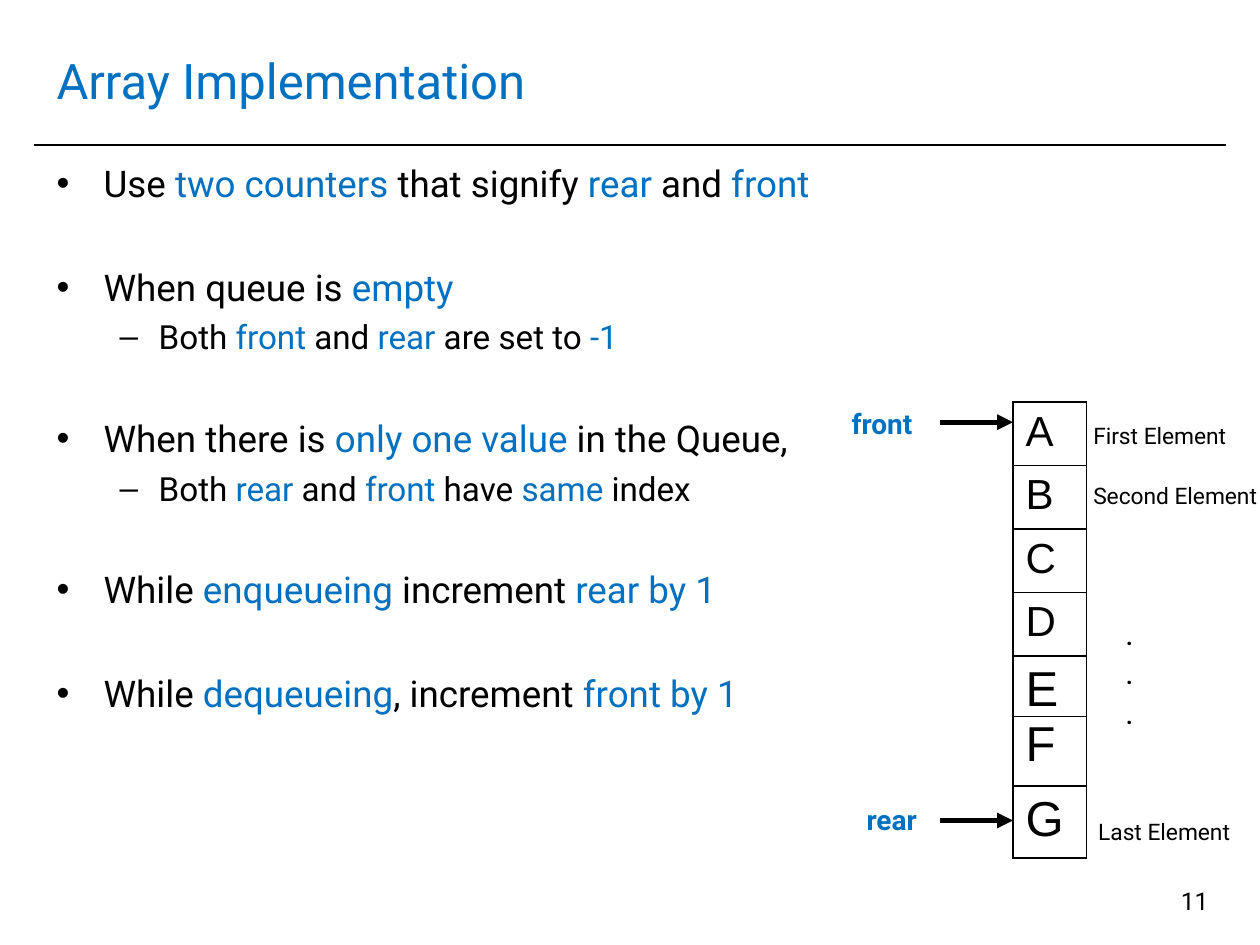
from typing import NamedTuple

from lxml import etree
from pptx import Presentation
from pptx.dml.color import RGBColor
from pptx.enum.shapes import MSO_CONNECTOR
from pptx.enum.text import MSO_ANCHOR, PP_ALIGN
from pptx.oxml import parse_xml
from pptx.oxml.ns import nsdecls, qn
from pptx.util import Cm, Pt

BLACK = RGBColor(0x00, 0x00, 0x00)
BLUE = RGBColor(0x00, 0x70, 0xC0)
STRAIGHT = MSO_CONNECTOR.STRAIGHT
MIDDLE, TOP = MSO_ANCHOR.MIDDLE, MSO_ANCHOR.TOP
LEFT, RIGHT = PP_ALIGN.LEFT, PP_ALIGN.RIGHT
SANS, CELL = "Roboto", "Arial"


class Label(NamedTuple):
    text: str
    x: float
    y: float
    w: float
    h: float
    size: float = 13
    color: RGBColor = BLACK
    bold: bool = False
    align: PP_ALIGN = LEFT
    anchor: MSO_ANCHOR = TOP
    gap: float = 0


class Line(NamedTuple):
    x1: float
    x2: float
    y: float
    width: float
    arrow: bool = False


class Level(NamedTuple):
    size: float
    left: float
    hang: float
    mark: str
    gap: float


class Point(NamedTuple):
    level: Level
    text: str  # parts between bars alternate black and blue


class Row(NamedTuple):
    text: str
    height: float
    size: float


MAIN = Level(21, 0.95, 0.95, "•", 34)
SUB = Level(19, 2.06, 0.79, "–", 4.5)

POINTS = [
    Point(MAIN, "Use |two counters |that signify |rear| and |front"),
    Point(MAIN, "When queue is |empty"),
    Point(SUB, "Both |front| and |rear| are set to |-1"),
    Point(MAIN, "When there is |only one value| in the Queue,"),
    Point(SUB, "Both |rear| and |front| have |same| index"),
    Point(MAIN, "While |enqueueing |increment |rear by 1"),
    Point(MAIN, "While |dequeueing|, increment |front by 1"),
]

# The fifth cell wraps to hold two letters
ROWS = [Row(c, 1.28, 24) for c in "ABCD"] + [Row("EF", 2.62, 28), Row("G", 1.45, 28)]
COL_X, COL_Y, COL_W = 20.42, 8.1, 1.48

LABELS = [
    Label("Array Implementation", 0.89, 0.53, 23.6, 2.16, 28, BLUE, anchor=MIDDLE),
    Label("11", 18.69, 17.73, 5.92, 1.32, 14, align=RIGHT),
    Label("First Element", 21.79, 8.38, 3.18, 0.81),
    Label("Second Element", 21.79, 9.58, 4.04, 0.81),
    Label("Last Element", 21.89, 16.36, 3.18, 0.81),
    Label("front", 16.92, 8.08, 2.24, 0.94, 16, BLUE, True),
    Label("rear", 17.22, 16.05, 1.9, 0.94, 16, BLUE, True),
    Label(".\n.\n.", 22.45, 12.42, 1.47, 2.49, bold=True, gap=7),
]

LINES = [
    Line(0.69, 24.71, 2.92, 1),
    Line(18.95, COL_X, 8.51, 3, True),
    Line(18.95, COL_X, 16.54, 3, True),
    Line(COL_X, COL_X + COL_W, 14.45, 0.75),
]


def style(run, size: float, color: RGBColor, bold: bool = False, face: str = SANS) -> None:
    font = run.font
    font.name, font.size, font.bold = face, Pt(size), bold
    font.color.rgb = color


def add_frame(slide, x: float, y: float, w: float, h: float):
    frame = slide.shapes.add_textbox(Cm(x), Cm(y), Cm(w), Cm(h)).text_frame
    frame.word_wrap = True
    return frame


def add_label(slide, label: Label) -> None:
    frame = add_frame(slide, label.x, label.y, label.w, label.h)
    frame.vertical_anchor = label.anchor
    frame.text = label.text
    for i, para in enumerate(frame.paragraphs):
        para.alignment = label.align
        para.space_before = Pt(label.gap if i else 0)
        for run in para.runs:
            style(run, label.size, label.color, label.bold)


def add_points(slide, points: list[Point]) -> None:
    frame = add_frame(slide, 0.89, 3.12, 17.5, 14.2)
    for i, (level, text) in enumerate(points):
        para = frame.add_paragraph() if i else frame.paragraphs[0]
        para.level = int(level is SUB)
        para.space_before = Pt(level.gap if i else 0)
        for j, part in enumerate(text.split("|")):
            run = para.add_run()
            run.text = part
            style(run, level.size, BLUE if j % 2 else BLACK)
        # Hanging bullet
        props = para._p.get_or_add_pPr()
        props.set("marL", str(Cm(level.left)))
        props.set("indent", str(-Cm(level.hang)))
        color = etree.SubElement(props, qn("a:buClr"))
        etree.SubElement(color, qn("a:srgbClr"), val=str(BLACK))
        etree.SubElement(props, qn("a:buFont"), typeface=CELL)
        etree.SubElement(props, qn("a:buChar"), char=level.mark)


def add_line(slide, line: Line) -> None:
    item = slide.shapes.add_connector(
        STRAIGHT, Cm(line.x1), Cm(line.y), Cm(line.x2), Cm(line.y))
    item.line.color.rgb = BLACK
    item.line.width = Pt(line.width)
    if line.arrow:
        etree.SubElement(item.line._get_or_add_ln(), qn("a:tailEnd"), type="triangle")
    etree.SubElement(item._element.spPr, qn("a:effectLst"))


def add_queue(slide, rows: list[Row]) -> None:
    high = sum(row.height for row in rows)
    table = slide.shapes.add_table(
        len(rows), 1, Cm(COL_X), Cm(COL_Y), Cm(COL_W), Cm(high)).table
    table.first_row = table.horz_banding = False
    for i, row in enumerate(rows):
        table.rows[i].height = Cm(row.height)
        cell = table.cell(i, 0)
        cell.text_frame.text = row.text
        style(cell.text_frame.paragraphs[0].runs[0], row.size, BLACK, face=CELL)
        # Borders come before the fill
        props = cell._tc.get_or_add_tcPr()
        for side in ("lnL", "lnR", "lnT", "lnB"):
            props.append(parse_xml(
                f'<a:{side} {nsdecls("a")} w="{Pt(1)}"><a:solidFill>'
                f'<a:srgbClr val="{BLACK}"/></a:solidFill></a:{side}>'))
        cell.fill.background()


def main() -> None:
    deck = Presentation()
    deck.slide_width, deck.slide_height = Cm(25.4), Cm(19.05)
    slide = deck.slides.add_slide(deck.slide_layouts[6])
    # Bullets, then the queue with its labels and lines
    add_points(slide, POINTS)
    add_queue(slide, ROWS)
    for label in LABELS:
        add_label(slide, label)
    for line in LINES:
        add_line(slide, line)
    deck.save("out.pptx")


if __name__ == "__main__":
    main()
